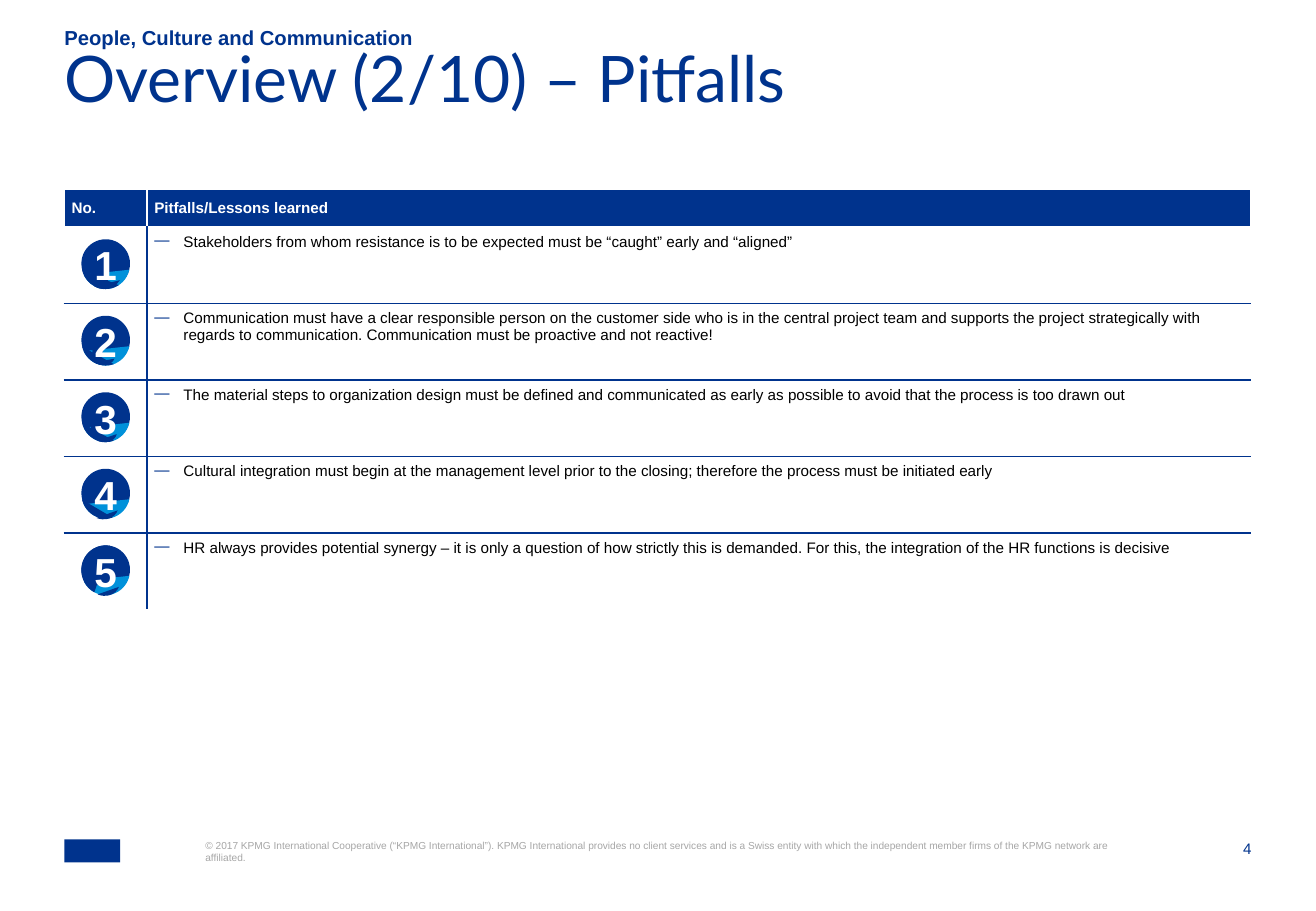
from lxml import etree
from pptx import Presentation
from pptx.dml.color import RGBColor
from pptx.enum.shapes import MSO_SHAPE
from pptx.enum.text import MSO_ANCHOR, MSO_AUTO_SIZE, PP_ALIGN
from pptx.oxml.ns import qn
from pptx.util import Inches, Pt

CIRCLE, CHORD, BLOCK = MSO_SHAPE.OVAL, MSO_SHAPE.CHORD, MSO_SHAPE.RECTANGLE
LEFT, CENTER, RIGHT = PP_ALIGN.LEFT, PP_ALIGN.CENTER, PP_ALIGN.RIGHT
TOP, MIDDLE, BOTTOM = MSO_ANCHOR.TOP, MSO_ANCHOR.MIDDLE, MSO_ANCHOR.BOTTOM
NO_FIT = MSO_AUTO_SIZE.NONE

NAVY, SKY, WHITE, BLACK, GREY = "00338D", "0091DA", "FFFFFF", "000000", "A6A6A6"
MARGIN, CONTENT_W = 0.53, 9.76
TABLE_TOP, HEADER_H, ROW_H = 1.56, 0.31, 0.63
NUMBER_W = 0.68
BADGE_LEFT, BADGE_TOP, BADGE = 0.67, 1.97, 0.4
FOOTER_TOP = 6.91

HEADINGS = ("No.", "Pitfalls/Lessons learned")
PITFALLS = (
    "Stakeholders from whom resistance is to be expected must be “caught” early and “aligned”",
    "Communication must have a clear responsible person on the customer side who is in the "
    "central project team and supports the project strategically with regards to "
    "communication. Communication must be proactive and not reactive!",
    "The material steps to organization design must be defined and communicated as early as "
    "possible to avoid that the process is too drawn out",
    "Cultural integration must begin at the management level prior to the closing; therefore "
    "the process must be initiated early",
    "HR always provides potential synergy – it is only a question of how strictly this is "
    "demanded. For this, the integration of the HR functions is decisive",
)
COPYRIGHT = (
    "© 2017 KPMG International Cooperative (“KPMG International”). KPMG International provides "
    "no client services and is a Swiss entity with which the independent member firms of the "
    "KPMG network are affiliated."
)
# Per badge: dark chord angles, dark patches, then wedge box, rotation and angles.
BADGES = (
    ((58.23, 166.04), [[(0.08, 0.05), (0.22, 0.05), (0.22, 0.34), (0.08, 0.34)]],
     (0.03, 0.1, 0.31, 0.31), 315, (77.05, 166.04)),
    ((70.86, 166.04), [[(0.09, 0.06), (0.26, 0.07), (0.16, 0.34), (0.09, 0.34)]],
     (0.04, 0.14, 0.21, 0.29), 306.1, (81.95, 166.04)),
    ((71, 166.04), [[(0.08, 0.06), (0.23, 0.07), (0.23, 0.33), (0.08, 0.34)]],
     (0.05, 0.15, 0.21, 0.29), 298, (81.95, 166.04)),
    ((73.73, 166.04), [[(0.08, 0.06), (0.23, 0.07), (0.21, 0.27), (0.08, 0.28)]],
     (0.04, 0.14, 0.25, 0.29), 301.1, (81.95, 168.3)),
    ((117, 280), [[(0.09, 0.37), (0.22, 0.01), (0.28, 0.11), (0.16, 0.11)],
                  [(0.09, 0.06), (0.17, 0.2), (0.25, 0.21), (0.23, 0.34), (0.09, 0.32)]],
     (0.05, 0.14, 0.25, 0.29), 301.1, (81.95, 168.3)),
)


def color(value):
    """Turn a hex string into a colour."""
    return RGBColor.from_string(value)


def inches(*lengths):
    """Convert several lengths in inches."""
    return [Inches(length) for length in lengths]


def write(frame, text, size=9, font="Arial", ink=NAVY, bold=False, align=LEFT,
          spacing=1.0, after=0, bullet=None):
    """Put one formatted paragraph into a text frame."""
    paragraph = frame.paragraphs[0]
    props = paragraph._p.get_or_add_pPr()
    indent = Inches(0.24) if bullet else 0
    props.set("marL", str(indent))
    props.set("indent", str(-indent))
    if bullet:
        tint = etree.SubElement(props, qn("a:buClr"))
        etree.SubElement(tint, qn("a:srgbClr"), val=NAVY)
        etree.SubElement(props, qn("a:buChar"), char=bullet)
    else:
        etree.SubElement(props, qn("a:buNone"))
    paragraph.alignment = align
    paragraph.line_spacing = spacing
    paragraph.space_before, paragraph.space_after = Pt(0), Pt(after)
    run = paragraph.add_run()
    run.text = text
    run.font.size, run.font.name, run.font.bold = Pt(size), font, bold
    run.font.color.rgb = color(ink)


def set_frame(frame, inset=0.0, anchor=TOP, wrap=True):
    """Set the insets, anchor and wrapping of a text frame."""
    frame.margin_left = frame.margin_right = Inches(inset)
    frame.margin_top = frame.margin_bottom = Inches(inset)
    frame.vertical_anchor, frame.word_wrap, frame.auto_size = anchor, wrap, NO_FIT


def add_label(shapes, box, text, wrap=True, **style):
    """Add a text box without insets."""
    frame = shapes.add_textbox(*inches(*box)).text_frame
    set_frame(frame, wrap=wrap)
    write(frame, text, **style)


def fill_placeholder(placeholder, box, text, anchor=TOP, **style):
    """Move a placeholder and write its text."""
    placeholder.left, placeholder.top, placeholder.width, placeholder.height = inches(*box)
    set_frame(placeholder.text_frame, anchor=anchor)
    write(placeholder.text_frame, text, **style)


def paint(shape, fill):
    """Give a shape a flat fill without line or shadow."""
    shape.fill.solid()
    shape.fill.fore_color.rgb = color(fill)
    shape.line.fill.background()
    shape.shadow.inherit = False


def add_part(shapes, kind, box, fill, angles=(), rotation=0):
    """Add a flat preset shape, with chord angles in degrees."""
    part = shapes.add_shape(kind, *inches(*box))
    paint(part, fill)
    part.rotation = rotation
    for index, angle in enumerate(angles):
        part.adjustments[index] = angle * 0.6


def add_badge(slide, index):
    """Add the numbered round badge of one table row."""
    dark_angles, patches, wedge, rotation, wedge_angles = BADGES[index]
    left, top = BADGE_LEFT, BADGE_TOP + index * ROW_H
    shapes = slide.shapes.add_group_shape().shapes
    add_part(shapes, CIRCLE, (left, top, BADGE, BADGE), NAVY)
    add_part(shapes, CHORD, (left, top, BADGE, BADGE + 0.01), SKY, (13.23, 154.41))
    add_part(shapes, CHORD, (left, top, BADGE, BADGE + 0.01), NAVY, dark_angles)
    for patch in patches:
        points = [inches(left + x, top + y) for x, y in patch]
        outline = shapes.build_freeform(*points[0])
        outline.add_line_segments(points[1:], close=True)
        paint(outline.convert_to_shape(), NAVY)
    x, y, width, height = wedge
    add_part(shapes, CHORD, (left + x, top + y, width, height), NAVY, wedge_angles, rotation)
    add_label(shapes, (left, top + 0.01, BADGE, BADGE), str(index + 1), wrap=False,
              size=24, ink=WHITE, bold=True, align=CENTER)


def set_borders(cell, **sides):
    """Draw 1 pt borders on the sides L, R, T and B, white unless given."""
    props = cell._tc.get_or_add_tcPr()
    for position, side in enumerate("LRTB"):
        line = etree.Element(qn(f"a:ln{side}"), w=str(Pt(1)))
        solid = etree.SubElement(line, qn("a:solidFill"))
        etree.SubElement(solid, qn("a:srgbClr"), val=sides.get(side, WHITE))
        props.insert(position, line)


def format_cell(cell, fill, anchor, **borders):
    """Set the fill, insets and borders of a table cell."""
    cell.fill.solid()
    cell.fill.fore_color.rgb = color(fill)
    cell.margin_left = cell.margin_right = Inches(0.06)
    cell.margin_top = cell.margin_bottom = Inches(0.06)
    cell.vertical_anchor = anchor
    set_borders(cell, **borders)


def add_pitfall_table(slide):
    """Add the table of pitfalls with its header row."""
    count = len(PITFALLS)
    box = inches(MARGIN, TABLE_TOP, CONTENT_W, HEADER_H + count * ROW_H)
    table = slide.shapes.add_table(count + 1, 2, *box).table
    table.horz_banding = False
    table.columns[0].width, table.columns[1].width = inches(NUMBER_W, CONTENT_W - NUMBER_W)
    table.rows[0].height = Inches(HEADER_H)
    for column, heading in enumerate(HEADINGS):
        cell = table.cell(0, column)
        format_cell(cell, NAVY, MIDDLE)
        write(cell.text_frame, heading, ink=WHITE, bold=True, spacing=0.95)
    for row, pitfall in enumerate(PITFALLS, 1):
        table.rows[row].height = Inches(ROW_H)
        rules = {"T": WHITE if row == 1 else NAVY, "B": WHITE if row == count else NAVY}
        number, lesson = table.cell(row, 0), table.cell(row, 1)
        format_cell(number, WHITE, TOP, R=NAVY, **rules)
        format_cell(lesson, WHITE, TOP, L=NAVY, **rules)
        write(lesson.text_frame, pitfall, ink=BLACK, spacing=0.95, after=2, bullet="—")


def main():
    """Build and save the slide."""
    deck = Presentation()
    deck.slide_width, deck.slide_height = inches(10.83, 7.5)
    slide = deck.slides.add_slide(deck.slide_layouts[1])
    fill_placeholder(slide.placeholders[1], (MARGIN, 0.22, 9.4, 0.19),
                     "People, Culture and Communication", anchor=BOTTOM, size=12, bold=True)
    fill_placeholder(slide.shapes.title, (MARGIN, 0.49, CONTENT_W, 0.79),
                     "Overview (2/10) – Pitfalls", size=38, font="Lato", spacing=0.7)
    add_pitfall_table(slide)
    for index in range(len(PITFALLS)):
        add_badge(slide, index)
    add_part(slide.shapes, BLOCK, (MARGIN, FOOTER_TOP, 0.46, 0.19), NAVY)
    add_label(slide.shapes, (1.69, FOOTER_TOP, 7.49, 0.41), COPYRIGHT, size=6, ink=GREY)
    add_label(slide.shapes, (9.87, FOOTER_TOP, 0.43, 0.16), "4", align=RIGHT)
    deck.save("out.pptx")


if __name__ == "__main__":
    main()
